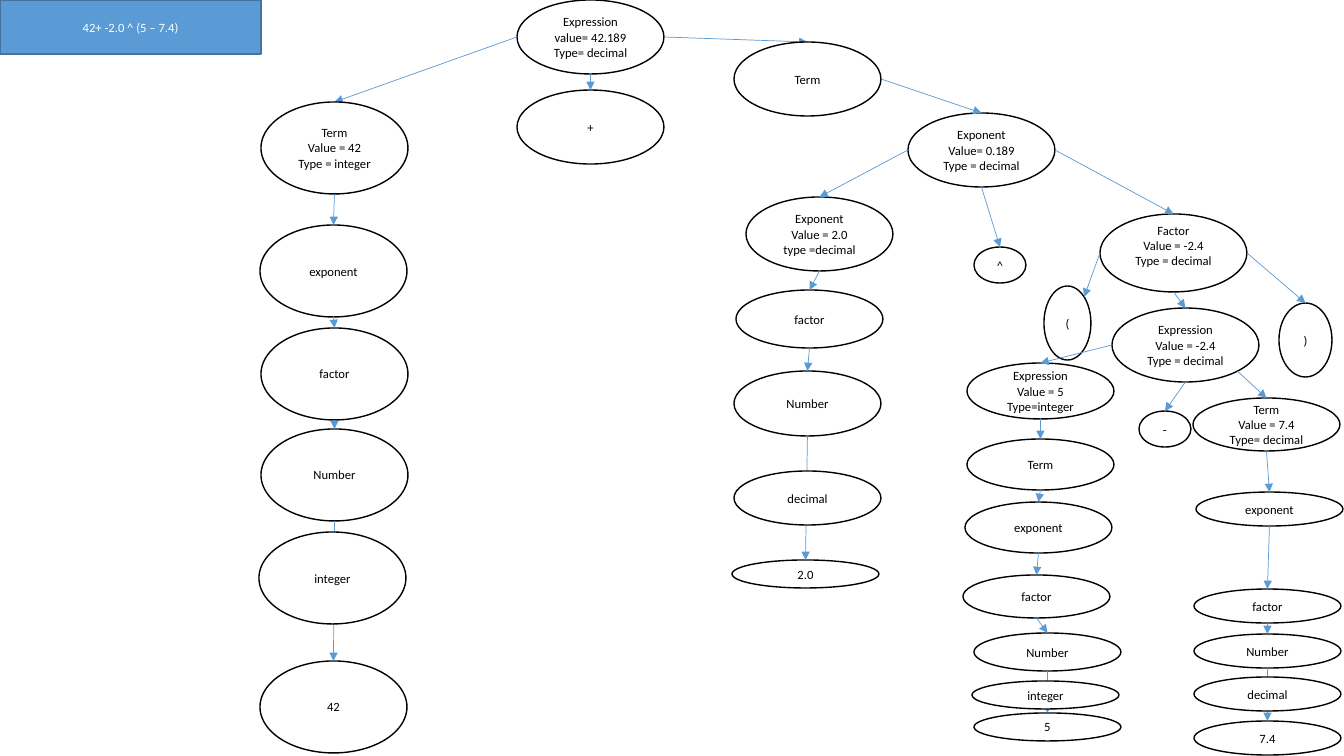
import math
from collections import namedtuple

from lxml import etree
from pptx import Presentation
from pptx.dml.color import RGBColor
from pptx.enum.shapes import MSO_CONNECTOR, MSO_SHAPE
from pptx.enum.text import MSO_ANCHOR, PP_ALIGN
from pptx.oxml.ns import qn
from pptx.util import Emu, Pt

SCALE = 914400 / 100.8
WHITE = RGBColor(0xFF, 0xFF, 0xFF)
BLACK = RGBColor(0, 0, 0)
BLUE = RGBColor(0x5B, 0x9B, 0xD5)
DARK_BLUE = RGBColor(0x43, 0x73, 0x9E)
FONT = "Calibri"
NODE_W, NODE_H = 147, 74
TOP, LEFT, BOTTOM, BOTTOM_RIGHT, RIGHT, TOP_RIGHT = 0, 2, 4, 5, 6, 7

Step = namedtuple("Step", "text dx dy height")


class Box(namedtuple("Box", "left top width height")):
    def within(self, dx, dy, width=NODE_W, height=NODE_H):
        return Box(self.left + dx, self.top + dy, width, height)


INTEGER_42 = [
    Step("Term\nValue = 42\nType = integer", 2, 0, 92),
    Step("exponent", 1, 123, 92),
    Step("factor", 2, 226, 92),
    Step("Number", 2, 327, 92),
    Step("integer", 0, 430, 92),
    Step("42", 1, 559, 92),
]
DECIMAL_2 = [
    Step("Exponent\nValue = 2.0\ntype =decimal", 14, 0, 74),
    Step("factor", 4, 93, 58),
    Step("Number", 2, 174, 65),
    Step("decimal", 2, 274, 54),
    Step("2.0", 0, 363, 28),
]
INTEGER_5 = [
    Step("Expression\nValue = 5\nType=integer", 4, 0, 56),
    Step("Term", 4, 76, 51),
    Step("exponent", 2, 139, 51),
    Step("factor", 0, 212, 43),
    Step("Number", 11, 270, 38),
    Step("integer", 9, 318, 28),
    Step("5", 11, 350, 28),
]
DECIMAL_7 = [
    Step("Term\nValue = 7.4\nType= decimal", 0, 0, 53),
    Step("exponent", 3, 94, 34),
    Step("factor", 1, 191, 34),
    Step("Number", 1, 236, 34),
    Step("decimal", 1, 279, 34),
    Step("7.4", 1, 323, 34),
]


def px(value):
    return Emu(round(value * SCALE))


def add_label(slide, box, text, preset=MSO_SHAPE.OVAL, fill=WHITE, line=BLACK,
              color=BLACK, lift=0):
    shape = slide.shapes.add_shape(preset, *map(px, box))
    shape.shadow.inherit = False
    shape.fill.solid()
    shape.fill.fore_color.rgb = fill
    shape.line.color.rgb = line
    shape.line.width = Pt(1)
    frame = shape.text_frame
    frame.text = text
    frame.word_wrap = False
    frame.vertical_anchor = MSO_ANCHOR.MIDDLE
    frame.margin_left = frame.margin_right = frame.margin_top = 0
    frame.margin_bottom = px(lift)
    for paragraph in frame.paragraphs:
        paragraph.alignment = PP_ALIGN.CENTER
        paragraph.font.size = Pt(9)
        paragraph.font.name = FONT
        paragraph.font.color.rgb = color
    return shape


def site_point(shape, site):
    angle = site * math.pi / 4
    x = shape.left + shape.width / 2 * (1 - math.sin(angle))
    y = shape.top + shape.height / 2 * (1 - math.cos(angle))
    return Emu(round(x)), Emu(round(y))


def connect(slide, parent, child, start=BOTTOM, end=TOP, behind=False):
    arrow = slide.shapes.add_connector(
        MSO_CONNECTOR.STRAIGHT, *site_point(parent, start), *site_point(child, end))
    arrow.line.color.rgb = BLUE
    arrow.line.width = Pt(0.5)
    etree.SubElement(arrow.line._get_or_add_ln(), qn("a:tailEnd"), type="triangle")
    etree.SubElement(arrow.element.spPr, qn("a:effectLst"))
    joints = arrow.element.find(".//" + qn("p:cNvCxnSpPr"))
    for tag, shape, site in (("a:stCxn", parent, start), ("a:endCxn", child, end)):
        etree.SubElement(joints, qn(tag), id=str(shape.shape_id), idx=str(site))
    if behind:
        child.element.addprevious(arrow.element)


def add_chain(slide, box, steps):
    def draw(step):
        return add_label(slide, box.within(step.dx, step.dy, height=step.height), step.text)

    *path, number_type, literal = steps
    nodes = [draw(step) for step in path + [literal]]
    for parent, child in zip(nodes, nodes[1:]):
        connect(slide, parent, child)
    draw(number_type)
    return nodes[0]


def add_factor_region(slide, box):
    factor = add_label(slide, box.within(137, 0, height=78),
                       "Factor\nValue = -2.4\nType = decimal", lift=15)
    opening = add_label(slide, box.within(81, 72, 47), "(")
    closing = add_label(slide, box.within(316, 89, 53), ")")
    expression = add_label(slide, box.within(149, 94),
                           "Expression\nValue = -2.4\nType = decimal")
    connect(slide, factor, opening, LEFT, TOP_RIGHT)
    connect(slide, factor, expression)
    connect(slide, factor, closing, RIGHT)
    five = add_chain(slide, box.within(0, 149, 158, 378), INTEGER_5)
    minus = add_label(slide, box.within(176, 197, 52, 36), "-")
    seven = add_chain(slide, box.within(230, 184, 150, 357), DECIMAL_7)
    connect(slide, expression, five, LEFT)
    connect(slide, expression, minus)
    connect(slide, expression, seven, BOTTOM_RIGHT)
    return factor


def add_exponent_region(slide, box):
    exponent = add_label(slide, box.within(176, 0),
                         "Exponent\nValue= 0.189\nType = decimal")
    base = add_chain(slide, box.within(0, 84, 161, 391), DECIMAL_2)
    caret = add_label(slide, box.within(242, 134, 52, 36), "^")
    factor = add_factor_region(slide, box.within(231, 101, 381, 541))
    connect(slide, exponent, base, LEFT)
    connect(slide, exponent, caret)
    connect(slide, exponent, factor, RIGHT)
    return exponent


def add_parse_tree(slide, box):
    root = add_label(slide, box.within(258, 0),
                     "Expression\nvalue= 42.189\nType= decimal")
    plus = add_label(slide, box.within(258, 90), "+")
    term = add_label(slide, box.within(475, 42), "Term")
    left_term = add_chain(slide, box.within(0, 102, 149, 651), INTEGER_42)
    exponent = add_exponent_region(slide, box.within(473, 113, 612, 642))
    connect(slide, root, left_term, LEFT, behind=True)
    connect(slide, root, plus)
    connect(slide, root, term, RIGHT, behind=True)
    connect(slide, term, exponent, RIGHT)


def add_formula(slide, box):
    add_label(slide, box, "42+ -2.0 ^ (5 – 7.4)", MSO_SHAPE.RECTANGLE,
              BLUE, DARK_BLUE, WHITE)


presentation = Presentation()
presentation.slide_width, presentation.slide_height = px(1344), px(756)
slide = presentation.slides.add_slide(presentation.slide_layouts[6])
add_formula(slide, Box(0, 0, 261, 54))
add_parse_tree(slide, Box(259, 0, 1085, 756))
presentation.save("out.pptx")
